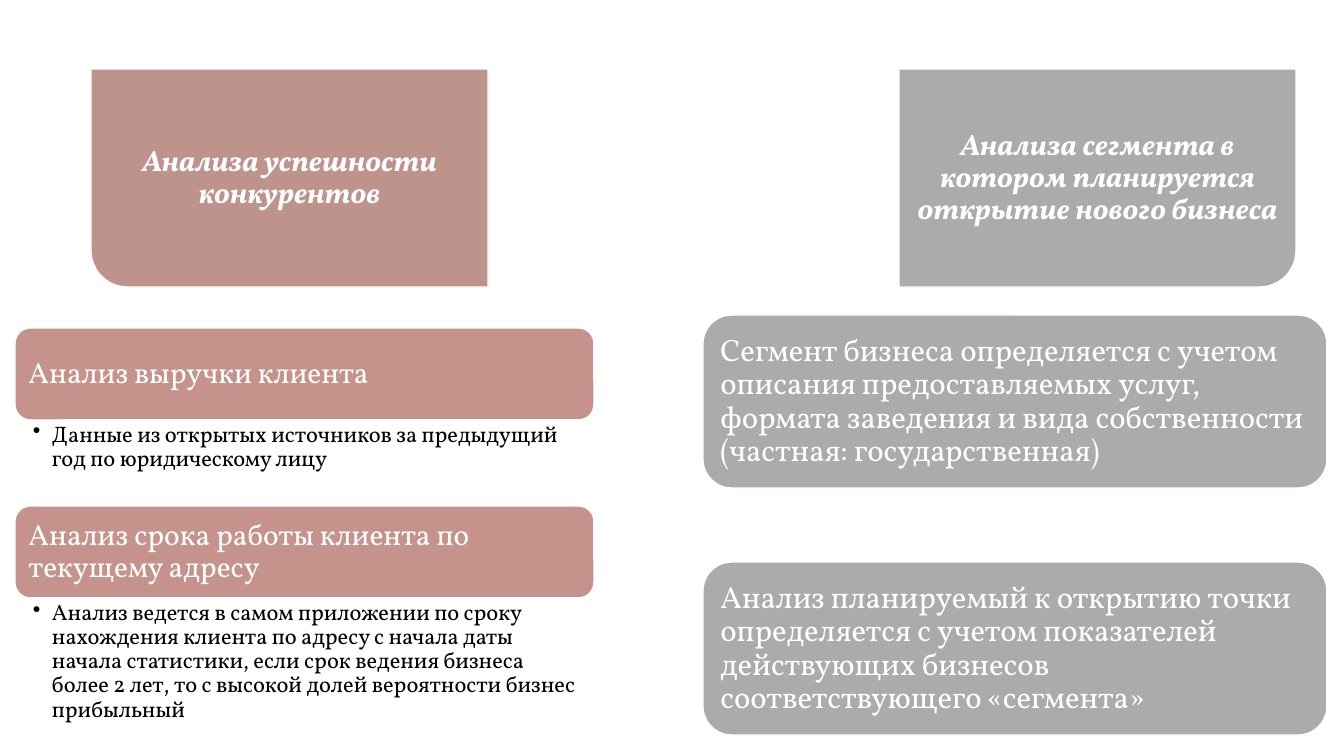
"""Build a slide comparing competitor analysis with business segment analysis."""
from lxml.etree import SubElement
from pptx import Presentation
from pptx.dml.color import RGBColor
from pptx.enum.shapes import MSO_SHAPE
from pptx.enum.text import MSO_ANCHOR, PP_ALIGN
from pptx.oxml.ns import qn
from pptx.util import Pt

PX = 914400 / 100.8
FONT = "Vollkorn"
COLORS = {"rose": "B98A82", "gray": "A5A5A5", "rose_bar": "C5938C",
          "gray_card": "ABABAB", "white": "FFFFFF", "black": "000000"}

HEADERS = [
    ("Анализа успешности конкурентов", 91, 180, "rose", 92),
    ("Анализа сегмента в котором планируется открытие нового бизнеса", 899, 90, "gray", 93),
]
CRITERIA = [
    ("Анализ выручки клиента",
     "Данные из открытых источников за предыдущий год по юридическому лицу"),
    ("Анализ срока работы клиента по текущему адресу",
     "Анализ ведется в самом приложении по сроку нахождения клиента по адресу с начала "
     "даты начала статистики, если срок ведения бизнеса более 2 лет, то с высокой долей "
     "вероятности бизнес прибыльный"),
]
SEGMENTS = [
    "Сегмент бизнеса определяется с учетом описания предоставляемых услуг, формата "
    "заведения и вида собственности (частная: государственная)",
    "Анализ планируемый к открытию точки определяется с учетом показателей действующих "
    "бизнесов соответствующего «сегмента»",
]
HEADER_TOP, HEADER_WIDTH, HEADER_HEIGHT = 69, 397, 218
BAR_LEFT, BAR_TOP, BAR_WIDTH, BAR_HEIGHT, BAR_STEP = 15, 328, 579, 92, 178
DETAIL_HEIGHTS = [86, 129]
CARD_LEFT, CARD_TOP, CARD_WIDTH, CARD_HEIGHT, CARD_STEP = 703, 315, 624, 173, 247


def emu(*lengths):
    return [round(length * PX) for length in lengths]


def add_panel(slide, preset, box, color):
    shape = slide.shapes.add_shape(preset, *emu(*box))
    shape.shadow.inherit = False
    shape.fill.solid()
    shape.fill.fore_color.rgb = RGBColor.from_string(COLORS[color])
    shape.line.color.rgb = RGBColor.from_string(COLORS["white"])
    shape.line.width = Pt(1)
    return shape


def write(shape, text, size, insets, color="white", anchor=MSO_ANCHOR.MIDDLE,
          align=PP_ALIGN.LEFT):
    frame = shape.text_frame
    frame.word_wrap = True
    frame.vertical_anchor = anchor
    (frame.margin_left, frame.margin_top,
     frame.margin_right, frame.margin_bottom) = emu(*insets)
    paragraph = frame.paragraphs[0]
    paragraph.text = text
    paragraph.alignment = align
    paragraph.line_spacing = 0.9
    paragraph.font.name = FONT
    paragraph.font.size = Pt(size)
    paragraph.font.color.rgb = RGBColor.from_string(COLORS[color])
    return paragraph


def add_header(slide, text, left, rotation, color, opacity):
    width, height = HEADER_WIDTH, HEADER_HEIGHT
    if rotation == 90:
        width, height = height, width
    box = (left + (HEADER_WIDTH - width) / 2,
           HEADER_TOP + (HEADER_HEIGHT - height) / 2, width, height)
    shape = add_panel(slide, MSO_SHAPE.ROUND_1_RECTANGLE, box, color)
    shape.rotation = rotation
    fill_color = shape.fill._xPr.find(qn("a:solidFill"))[0]
    SubElement(fill_color, qn("a:alpha"), val=str(opacity * 1000))
    label = slide.shapes.add_textbox(*emu(left, HEADER_TOP, HEADER_WIDTH, HEADER_HEIGHT))
    paragraph = write(label, text, 21, [16] * 4, align=PP_ALIGN.CENTER)
    paragraph.font.bold = paragraph.font.italic = True


def add_detail(slide, text, top, height):
    detail = slide.shapes.add_textbox(*emu(BAR_LEFT, top, BAR_WIDTH, height))
    paragraph = write(detail, text, 16, (18, 3, 16, 3), "black", MSO_ANCHOR.TOP)
    properties = paragraph._p.get_or_add_pPr()
    indent = emu(19)[0]
    properties.set("marL", str(indent))
    properties.set("indent", str(-indent))
    SubElement(properties, qn("a:buChar"), char="•")


def main():
    presentation = Presentation()
    presentation.slide_width, presentation.slide_height = emu(1344, 756)
    slide = presentation.slides.add_slide(presentation.slide_layouts[6])
    for header in HEADERS:
        add_header(slide, *header)
    for row, (title, detail) in enumerate(CRITERIA):
        top = BAR_TOP + row * BAR_STEP
        bar = add_panel(slide, MSO_SHAPE.ROUNDED_RECTANGLE,
                        (BAR_LEFT, top, BAR_WIDTH, BAR_HEIGHT), "rose_bar")
        write(bar, title, 21, [9] * 4)
        add_detail(slide, detail, top + BAR_HEIGHT, DETAIL_HEIGHTS[row])
    for row, text in enumerate(SEGMENTS):
        card = add_panel(slide, MSO_SHAPE.ROUNDED_RECTANGLE,
                         (CARD_LEFT, CARD_TOP + row * CARD_STEP, CARD_WIDTH, CARD_HEIGHT),
                         "gray_card")
        write(card, text, 22, [9] * 4)
    presentation.save("out.pptx")


if __name__ == "__main__":
    main()
